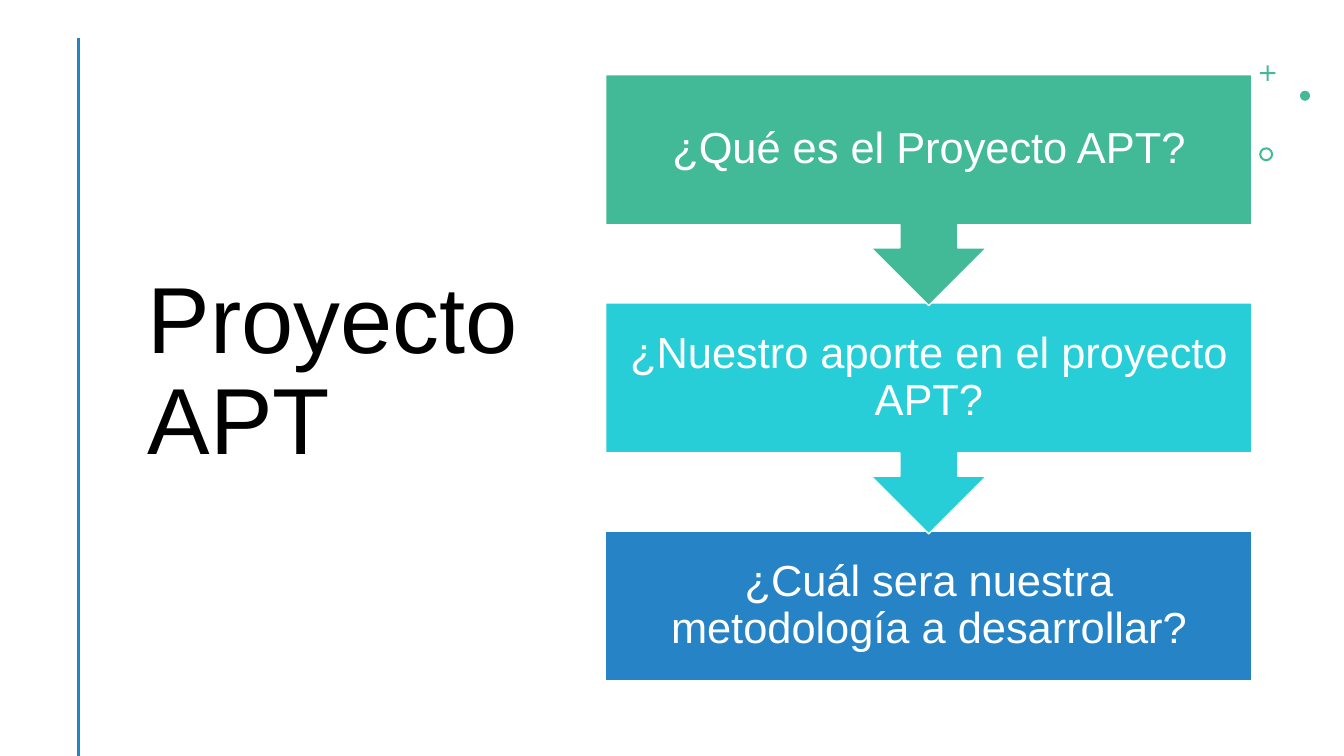
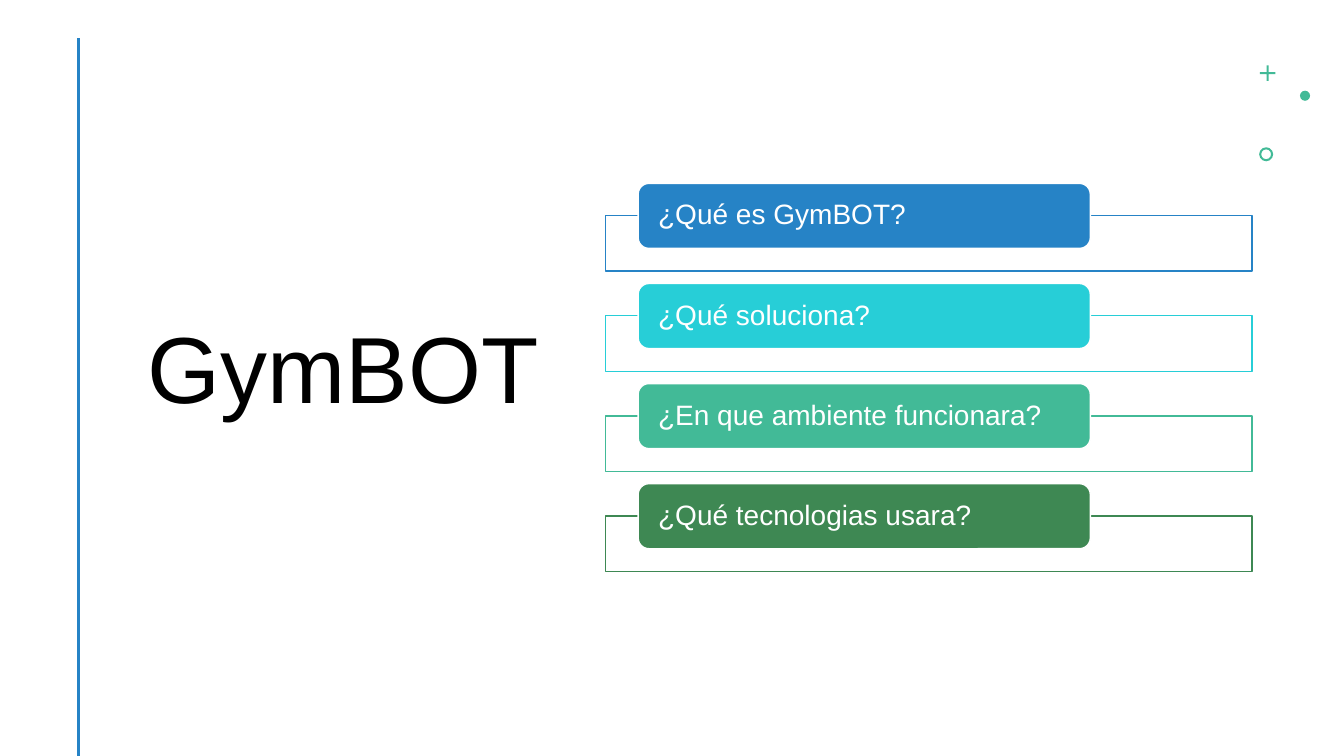
from lxml.etree import SubElement
from pptx import Presentation
from pptx.dml.color import RGBColor
from pptx.enum.shapes import MSO_CONNECTOR, MSO_SHAPE
from pptx.enum.text import MSO_ANCHOR, PP_ALIGN
from pptx.oxml.ns import qn
from pptx.util import Pt

BLUE, CYAN, TEAL, GREEN = "2683C6", "27CED7", "42BA97", "3E8853"
WHITE, BLACK = "FFFFFF", "000000"

TITLE_FORMAT = {
    "color": BLACK,
    "frame": {"margin_left": Pt(7.2), "margin_right": Pt(7.2)},
    "paragraph": {"alignment": PP_ALIGN.LEFT},
    "font": {"size": Pt(67)},
}
STEP_FORMAT = {
    "color": WHITE,
    "frame": {"margin_left": Pt(17), "margin_right": Pt(17)},
    "paragraph": {"alignment": PP_ALIGN.CENTER},
    "font": {"size": Pt(31)},
}
TAB_FORMAT = {
    "color": WHITE,
    "frame": {"margin_left": Pt(12), "margin_right": Pt(12),
              "margin_top": 0, "margin_bottom": 0},
    "paragraph": {"alignment": PP_ALIGN.LEFT},
    "font": {"size": Pt(20)},
}
ORNAMENTS = [
    (MSO_SHAPE.CROSS, (900, 46.8, 11, 11), 0.44),
    (MSO_SHAPE.OVAL, (928.6, 64.8, 7.2, 7.2), None),
    (MSO_SHAPE.DONUT, (899.4, 105.2, 10, 10), 0.15),
]
STEPS = [
    ("¿Qué es el Proyecto APT?", TEAL, MSO_SHAPE.DOWN_ARROW_CALLOUT, 165),
    ("¿Nuestro aporte en el proyecto APT?", CYAN, MSO_SHAPE.DOWN_ARROW_CALLOUT, 165),
    ("¿Cuál sera nuestra metodología a desarrollar?", BLUE, MSO_SHAPE.RECTANGLE, 107.2),
]
TABS = [
    ("¿Qué es GymBOT?", BLUE),
    ("¿Qué soluciona?", CYAN),
    ("¿En que ambiente funcionara?", TEAL),
    ("¿Qué tecnologias usara?", GREEN),
]
DIAGRAM_LEFT, DIAGRAM_WIDTH = 432.7, 461.5
STEP_TOP, STEP_PITCH = 53.3, 163
PANEL_TOP, TAB_TOP, TAB_PITCH = 154, 131, 71.5


def add_filled_shape(slide, kind, box, fill, outline=None):
    shape = slide.shapes.add_shape(kind, *map(Pt, box))
    shape.shadow.inherit = False
    shape.fill.solid()
    shape.fill.fore_color.rgb = RGBColor.from_string(fill)
    if outline:
        shape.line.color.rgb = RGBColor.from_string(outline)
        shape.line.width = Pt(1)
    else:
        shape.line.fill.background()
    return shape


def write_text(shape, text, text_format):
    frame = shape.text_frame
    frame.text = text
    paragraph = frame.paragraphs[0]
    targets = [
        (frame, {"word_wrap": True, "vertical_anchor": MSO_ANCHOR.MIDDLE}, "frame"),
        (paragraph, {"line_spacing": 0.9}, "paragraph"),
        (paragraph.font, {"name": "Arial"}, "font"),
    ]
    for target, shared, group in targets:
        for name, value in {**shared, **text_format[group]}.items():
            setattr(target, name, value)
    paragraph.font.color.rgb = RGBColor.from_string(text_format["color"])


presentation = Presentation()
presentation.slide_width = Pt(960)
presentation.slide_height = Pt(540)

slides = []
for title in ("Proyecto\vAPT", "GymBOT"):
    slide = presentation.slides.add_slide(presentation.slide_layouts[6])
    slides.append(slide)
    title_box = slide.shapes.add_textbox(Pt(98.6), Pt(46.8), Pt(310.3), Pt(440))
    write_text(title_box, title, TITLE_FORMAT)

    side_line = slide.shapes.add_connector(
        MSO_CONNECTOR.STRAIGHT, Pt(56.2), Pt(27.4), Pt(56.2), Pt(540))
    side_line.line.color.rgb = RGBColor.from_string(BLUE)
    side_line.line.width = Pt(2)
    SubElement(side_line.element.spPr, qn("a:effectLst"))

    for kind, box, adjustment in ORNAMENTS:
        ornament = add_filled_shape(slide, kind, box, TEAL)
        if adjustment:
            ornament.adjustments[0] = adjustment

project_slide, product_slide = slides

for index, (text, color, kind, height) in reversed(list(enumerate(STEPS))):
    box = (DIAGRAM_LEFT, STEP_TOP + index * STEP_PITCH, DIAGRAM_WIDTH, height)
    step = add_filled_shape(project_slide, kind, box, color, WHITE)
    write_text(step, text, STEP_FORMAT)

for index, (text, color) in enumerate(TABS):
    offset = index * TAB_PITCH
    panel = add_filled_shape(
        product_slide, MSO_SHAPE.RECTANGLE,
        (DIAGRAM_LEFT, PANEL_TOP + offset, DIAGRAM_WIDTH, 39.7), WHITE, color)
    panel_color = panel.element.spPr.find(qn("a:solidFill"))[0]
    SubElement(panel_color, qn("a:alpha"), val="90000")
    tab = add_filled_shape(
        product_slide, MSO_SHAPE.ROUNDED_RECTANGLE,
        (455.8, TAB_TOP + offset, 323, 46.5), color, WHITE)
    write_text(tab, text, TAB_FORMAT)

presentation.save("out.pptx")
